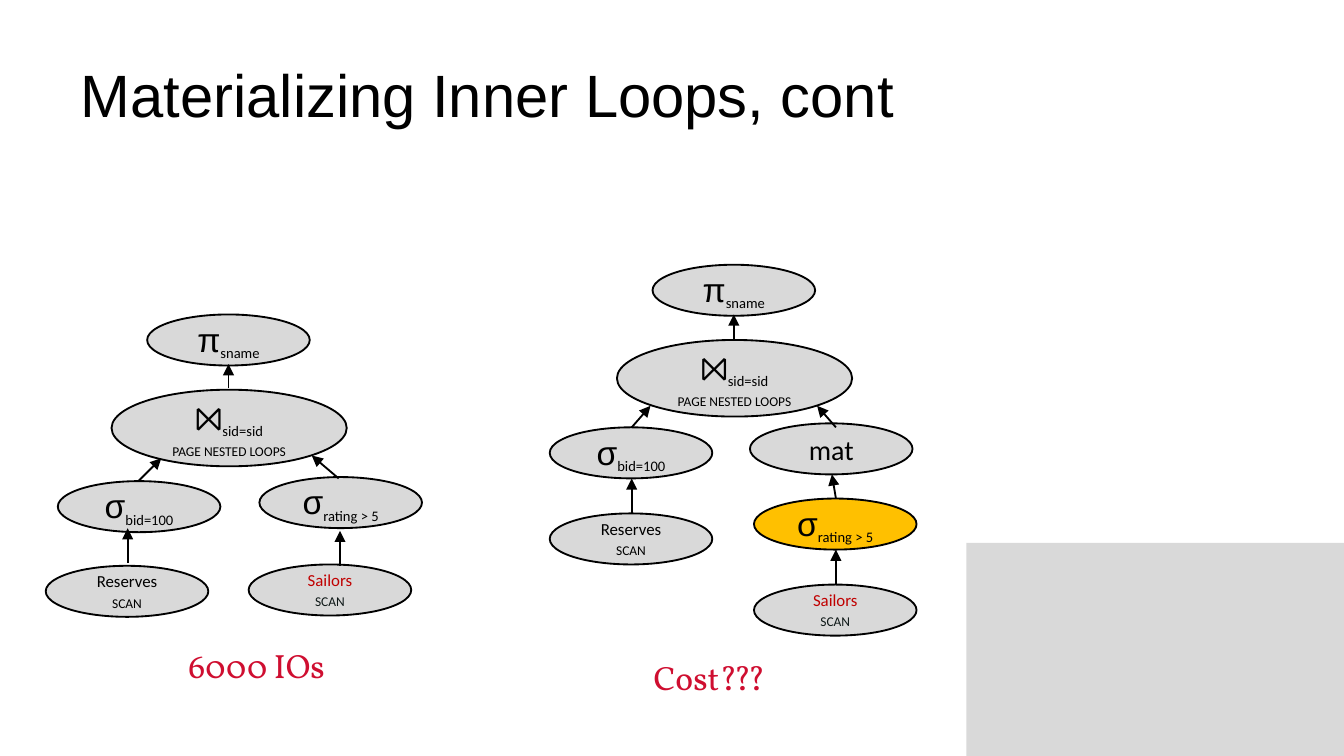
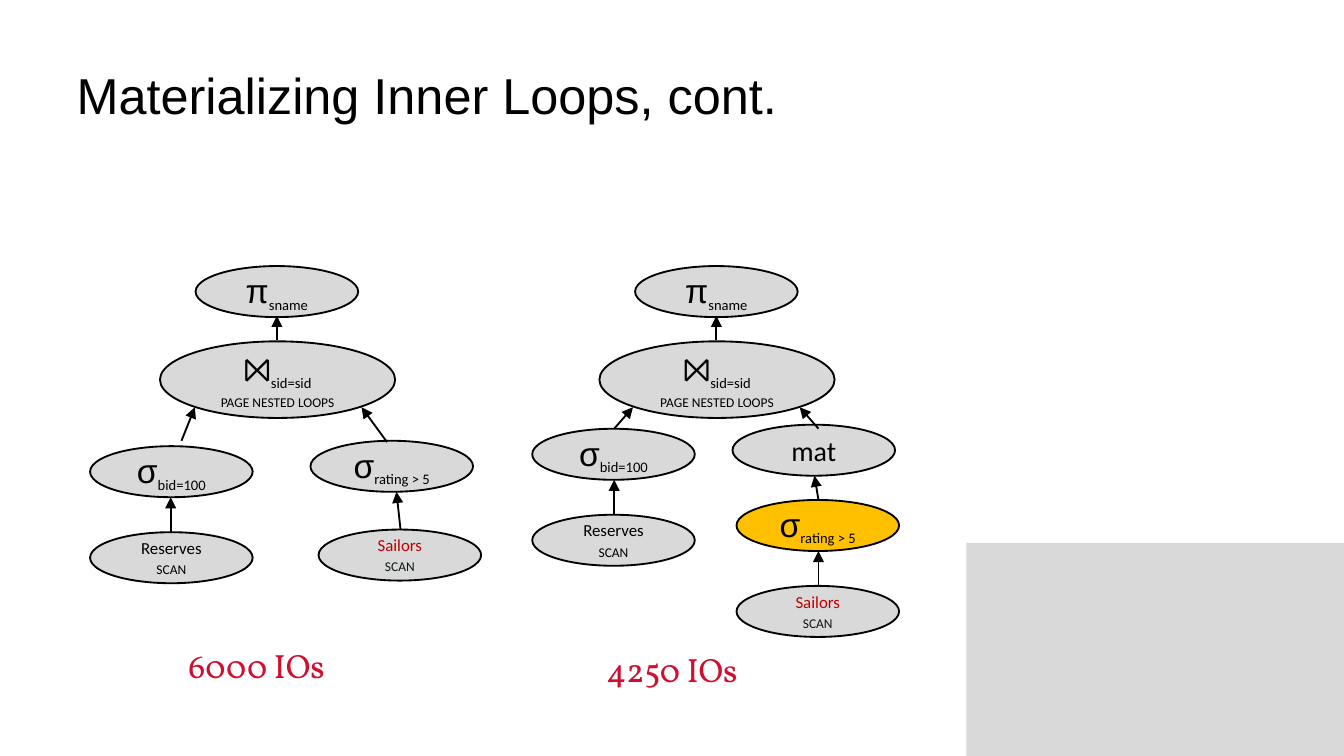
from copy import deepcopy
from pptx import Presentation
from pptx.dml.color import RGBColor
from pptx.enum.shapes import MSO_CONNECTOR as CONN, MSO_SHAPE as SHAPE
from pptx.enum.text import MSO_ANCHOR as ANCHOR, MSO_AUTO_SIZE as AUTO, PP_ALIGN as ALIGN
from pptx.oxml.ns import qn
from pptx.util import Inches, Pt
from lxml import etree

prs = Presentation()
prs.slide_width, prs.slide_height = Inches(10), Inches(5.625)
COL = prs.slide_width / 100

BLACK, GRAY, AMBER = "000000", "D9D9D9", "FFC000"
SYMBOL = dict(name="Arial", size=Pt(18), color=BLACK)
SUB = dict(name="Calibri", size=Pt(13.5), color=BLACK, baseline="-25000")
PLAIN = dict(name="Calibri", size=Pt(9), color=BLACK)
SMALL = PLAIN | dict(cap="small")
RED = PLAIN | dict(color="C00000")
DARK = SMALL | dict(color="0E1817")
COST = dict(name="Vollkorn", size=Pt(18), color="CF0E30")

TEXTS = {
    "project": [[("π", SYMBOL), ("sname", SUB)]],
    "join": [[("⨝", SYMBOL), ("sid=sid\n", SUB), ("page nested loops", SMALL)]],
    "bid": [[("σ", SYMBOL), ("bid=100", SUB)]],
    "rating": [[("σ", SYMBOL), ("rating > 5", SUB)]],
    "mat": [[("mat", PLAIN | dict(size=Pt(15)))]],
    "reserves": [[("Reserves", PLAIN)], [("scan", SMALL)]],
    "sailors": [[("Sailors", RED)], [("scan", DARK)]],
}

TOP = {"join": (0, 0), "project": (2.65, -5.6)}
TOP_ARROW = (8.7, -0.1, 8.7, -1.9)
LOW_TREE = dict(
    nodes=TOP | {"bid": (-4, 6.8), "rating": (11, 6.5), "sailors": (10.2, 13), "reserves": (-4.9, 13.1)},
    arrows=[TOP_ARROW, (16.9, 6.6, 14.9, 4.9), (2, 6.8, 3.7, 5.1),
            (17, 13.1, 17, 10.5), (1.2, 12.9, 1.2, 10.3)])
WIDE_TREE = dict(
    nodes=TOP | {"bid": (-5.2, 7.8), "rating": (11.2, 7.4), "sailors": (11.8, 14), "reserves": (-5.2, 14.2)},
    arrows=[TOP_ARROW, (16.9, 7.5, 15, 4.9), (1.6, 7.4, 2.6, 4.9),
            (17.9, 14, 17.6, 11.2), (0.8, 14.2, 0.8, 11.6)])
MAT_TREE = dict(
    nodes=TOP | {"mat": (9.9, 6.2), "rating": (10.2, 11.8), "bid": (-5, 6.5),
                 "sailors": (10.2, 18.2), "reserves": (-5, 12.9)},
    arrows=[TOP_ARROW, (16.3, 6.5, 14.9, 4.9), (1.1, 6.5, 2.5, 4.9), (16.3, 11.8, 16, 10),
            (16.3, 18.2, 16.3, 15.6), (1.1, 12.9, 1.1, 10.3)])

SLIDES = [
    dict(title="Materializing Inner Loops, cont", size=32, inset=(1, 0.5),
         trees=[(8.3, 29, LOW_TREE, False), (45.9, 25.3, MAT_TREE, False)],
         costs=[("6000 IOs", 11.3, 47.6), ("Cost???", 45, 48.5)]),
    dict(title="Materializing Inner Loops, cont.", size=27, inset=(0.7, 0.4),
         trees=[(11.9, 25.4, WIDE_TREE, True), (44.6, 25.4, MAT_TREE, False)],
         costs=[("6000 IOs", 11.3, 47.6), ("4250 IOs", 42.2, 47.9)]),
]


def grid(*cells):
    return [round(c * COL) for c in cells]


def write(tf, paragraphs, align, inset=(1, 0.5), wrap=True):
    mx, my = grid(*inset)
    frame = dict(margin_left=mx, margin_right=mx, margin_top=my, margin_bottom=my,
                 vertical_anchor=ANCHOR.MIDDLE, auto_size=AUTO.NONE, word_wrap=wrap)
    for k, v in frame.items():
        setattr(tf, k, v)
    for i, runs in enumerate(paragraphs):
        p = tf.add_paragraph() if i else tf.paragraphs[0]
        p.alignment = align
        for text, fmt in runs:
            r = p.add_run()
            r.text = text.rstrip("\n")
            rpr = r._r.get_or_add_rPr()
            for k, v in fmt.items():
                if k == "color":
                    r.font.color.rgb = RGBColor.from_string(v)
                elif k in ("baseline", "cap"):
                    rpr.set(k, v)
                else:
                    setattr(r.font, k, v)
            if text.endswith("\n"):
                p.add_line_break()
                p._p[-1].append(deepcopy(rpr))


layout = prs.slide_layouts[5]
for n, page in enumerate(SLIDES):
    s = prs.slides.add_slide(layout)
    if n == 0:
        corner = s.shapes.add_shape(SHAPE.RECTANGLE, *grid(71.9, 40.4, 28.1, 15.85))
        corner.shadow.inherit = False
        corner.fill.solid()
        corner.fill.fore_color.rgb = RGBColor.from_string(GRAY)
        corner.line.fill.background()
        layout.shapes.element.insert(2, corner.element)

    title = s.shapes.title
    title.left, title.top, title.width, title.height = grid(5, 2.3, 90, 9.4)
    fmt = dict(name="Arial", size=Pt(page["size"]), color=BLACK)
    write(title.text_frame, [[(page["title"], fmt)]], ALIGN.LEFT, page["inset"])

    for x, y, tree, grouped in page["trees"]:
        shapes = s.shapes.add_group_shape().shapes if grouped else s.shapes
        for name, (dx, dy) in tree["nodes"].items():
            size = (17.5, 5.7) if name == "join" else (12.1, 3.8)
            sp = shapes.add_shape(SHAPE.OVAL, *grid(x + dx, y + dy, *size))
            sp.shadow.inherit = False
            sp.fill.solid()
            amber = name == "rating" and "mat" in tree["nodes"]
            sp.fill.fore_color.rgb = RGBColor.from_string(AMBER if amber else GRAY)
            sp.line.color.rgb = RGBColor.from_string(BLACK)
            sp.line.width = Pt(1)
            write(sp.text_frame, TEXTS[name], ALIGN.CENTER, (0.7, 0.4))
        for x1, y1, x2, y2 in tree["arrows"]:
            arrow = shapes.add_connector(CONN.STRAIGHT, *grid(x + x1, y + y1, x + x2, y + y2))
            arrow.line.color.rgb = RGBColor.from_string(BLACK)
            arrow.line.width = Pt(1)
            etree.SubElement(arrow.line._get_or_add_ln(), qn("a:tailEnd"), type="triangle")
            etree.SubElement(arrow.element.spPr, qn("a:effectLst"))

    for text, x, y in page["costs"]:
        box = s.shapes.add_textbox(*grid(x, y, 15.6, 3.8))
        write(box.text_frame, [[(text, COST)]], ALIGN.CENTER, wrap=False)

prs.save("out.pptx")
